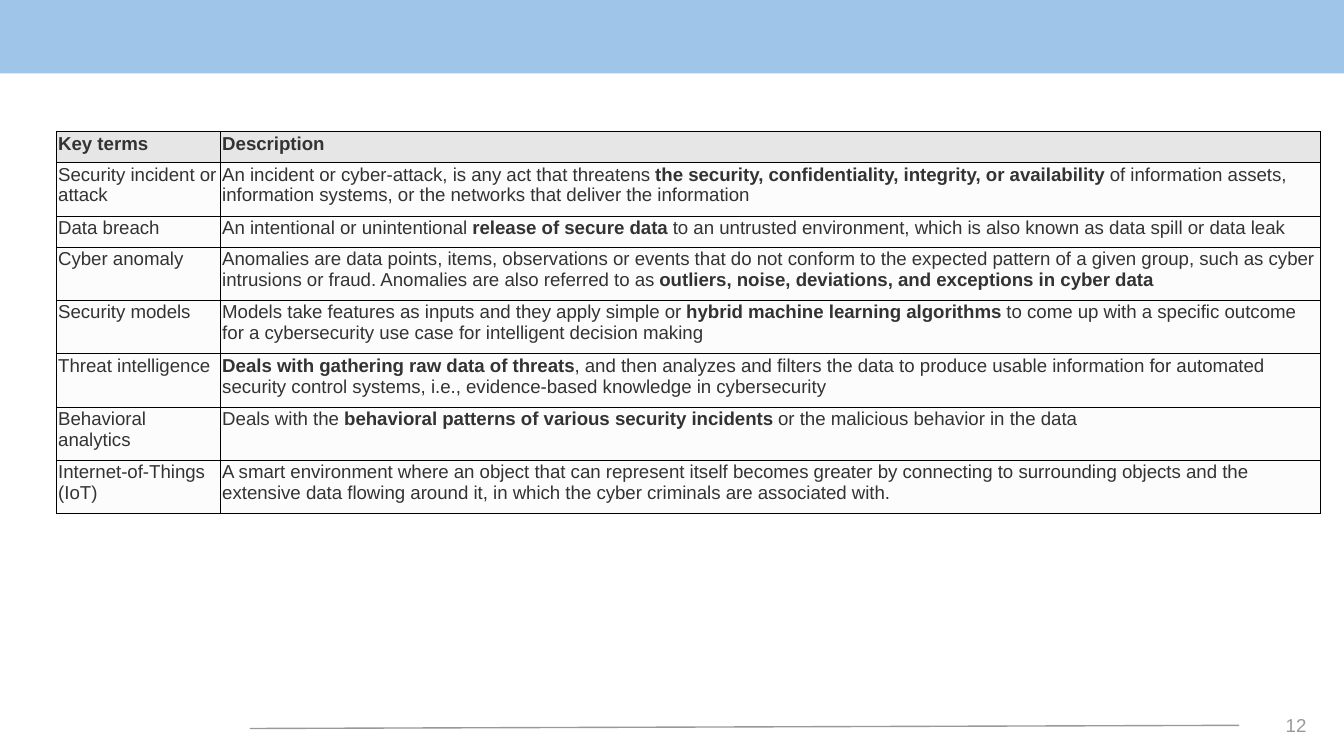
from lxml import etree
from pptx import Presentation
from pptx.dml.color import RGBColor
from pptx.enum.shapes import MSO_CONNECTOR, MSO_SHAPE
from pptx.enum.text import MSO_ANCHOR, PP_ALIGN
from pptx.oxml import parse_xml
from pptx.oxml.ns import nsdecls, qn
from pptx.util import Cm, Pt

RECT = MSO_SHAPE.RECTANGLE
STRAIGHT = MSO_CONNECTOR.STRAIGHT
MIDDLE = MSO_ANCHOR.MIDDLE
RIGHT = PP_ALIGN.RIGHT

SKY = RGBColor(0x9F, 0xC5, 0xE8)
GREY = RGBColor(0x99, 0x99, 0x99)
INK = RGBColor(0x33, 0x33, 0x33)
HEAD = RGBColor(0xE6, 0xE6, 0xE6)
BODY = RGBColor(0xFC, 0xFC, 0xFC)
BLACK = RGBColor(0, 0, 0)

COLUMNS = (3.1, 20.78)
SHORT, TALL = 0.53, 0.87
HEIGHTS = (SHORT, TALL, SHORT, TALL, TALL, TALL, SHORT, TALL)
TERMS = (
    ("*Key terms*", "*Description*"),
    ("Security incident or attack",
     "An incident or cyber-attack, is any act that threatens *the security, confidentiality, "
     "integrity, or availability *of information assets, information systems, or the networks "
     "that deliver the information"),
    ("Data breach",
     "An intentional or unintentional *release of secure data* to an untrusted environment, "
     "which is also known as data spill or data leak"),
    ("Cyber anomaly",
     "Anomalies are data points, items, observations or events that do not conform to the "
     "expected pattern of a given group, such as cyber intrusions or fraud. Anomalies are also "
     "referred to as *outliers, noise, deviations, and exceptions in cyber data*"),
    ("Security models",
     "Models take features as inputs and they apply simple or *hybrid machine learning "
     "algorithms* to come up with a specific outcome for a cybersecurity use case for "
     "intelligent decision making"),
    ("Threat intelligence",
     "*Deals with gathering raw data of threats*, and then analyzes and filters the data to "
     "produce usable information for automated security control systems, i.e., evidence-based "
     "knowledge in cybersecurity"),
    ("Behavioral analytics",
     "Deals with the* behavioral patterns of various security incidents *or the malicious "
     "behavior in the data"),
    ("Internet-of-Things (IoT)",
     "A smart environment where an object that can represent itself becomes greater by "
     "connecting to surrounding objects and the extensive data flowing around it, in which the "
     "cyber criminals are associated with."),
)


class Deck:
    """Holds the text style and the current slide, and draws each kind of element."""

    def __init__(self, prs, font="Arial", size=10):
        self.s = prs.slides.add_slide(prs.slide_layouts[6])
        self.font, self.size = font, Pt(size)

    def add_runs(self, p, text, color):
        for i, part in enumerate(text.split("*")):
            if part:
                r = p.add_run()
                r.text = part
                r.font.name, r.font.size = self.font, self.size
                r.font.bold = i % 2 == 1
                r.font.color.rgb = color

    def band(self, x, y, w, h, color):
        sp = self.s.shapes.add_shape(RECT, Cm(x), Cm(y), Cm(w), Cm(h))
        sp.shadow.inherit = False
        sp.fill.solid()
        sp.fill.fore_color.rgb = color
        sp.line.fill.background()

    def line(self, x1, y1, x2, y2, color, width):
        cx = self.s.shapes.add_connector(STRAIGHT, Cm(x1), Cm(y1), Cm(x2), Cm(y2))
        cx.line.color.rgb, cx.line.width = color, Pt(width)
        etree.SubElement(cx._element.spPr, qn("a:effectLst"))

    def text(self, x, y, w, h, text, color, inset=0.25):
        tf = self.s.shapes.add_textbox(Cm(x), Cm(y), Cm(w), Cm(h)).text_frame
        tf.word_wrap, tf.vertical_anchor = True, MIDDLE
        tf.margin_left = tf.margin_right = tf.margin_top = tf.margin_bottom = Cm(inset)
        p = tf.paragraphs[0]
        p.alignment = RIGHT
        self.add_runs(p, text, color)

    def border(self, cell, color, width):
        tcPr = cell._tc.get_or_add_tcPr()
        for i, side in enumerate(("lnL", "lnR", "lnT", "lnB")):
            tcPr.insert(i, parse_xml(
                f'<a:{side} {nsdecls("a")} w="{Pt(width)}"><a:solidFill>'
                f'<a:srgbClr val="{color}"/></a:solidFill></a:{side}>'))

    def table(self, x, y, columns, heights, rows):
        table = self.s.shapes.add_table(
            len(rows), len(columns), Cm(x), Cm(y), Cm(sum(columns)), Cm(sum(heights))).table
        for column, width in zip(table.columns, columns):
            column.width = Cm(width)
        for i, (row, height) in enumerate(zip(table.rows, heights)):
            row.height = Cm(height)
            for cell, text in zip(row.cells, rows[i]):
                cell.margin_left = cell.margin_right = cell.margin_top = Cm(0.03)
                cell.margin_bottom = Cm(0.13)
                cell.fill.solid()
                cell.fill.fore_color.rgb = BODY if i else HEAD
                self.border(cell, BLACK, 0.5)
                self.add_runs(cell.text_frame.paragraphs[0], text, INK)


def main():
    prs = Presentation()
    prs.slide_width, prs.slide_height = Cm(25.4), Cm(14.29)
    deck = Deck(prs)
    deck.band(0, 0, 25.4, 1.39, SKY)
    deck.line(23.42, 13.71, 4.72, 13.77, GREY, 0.75)
    deck.text(23.42, 13.16, 1.52, 1.09, "12", GREY)
    deck.table(1.07, 2.49, COLUMNS, HEIGHTS, TERMS)
    prs.save("out.pptx")


if __name__ == "__main__":
    main()
